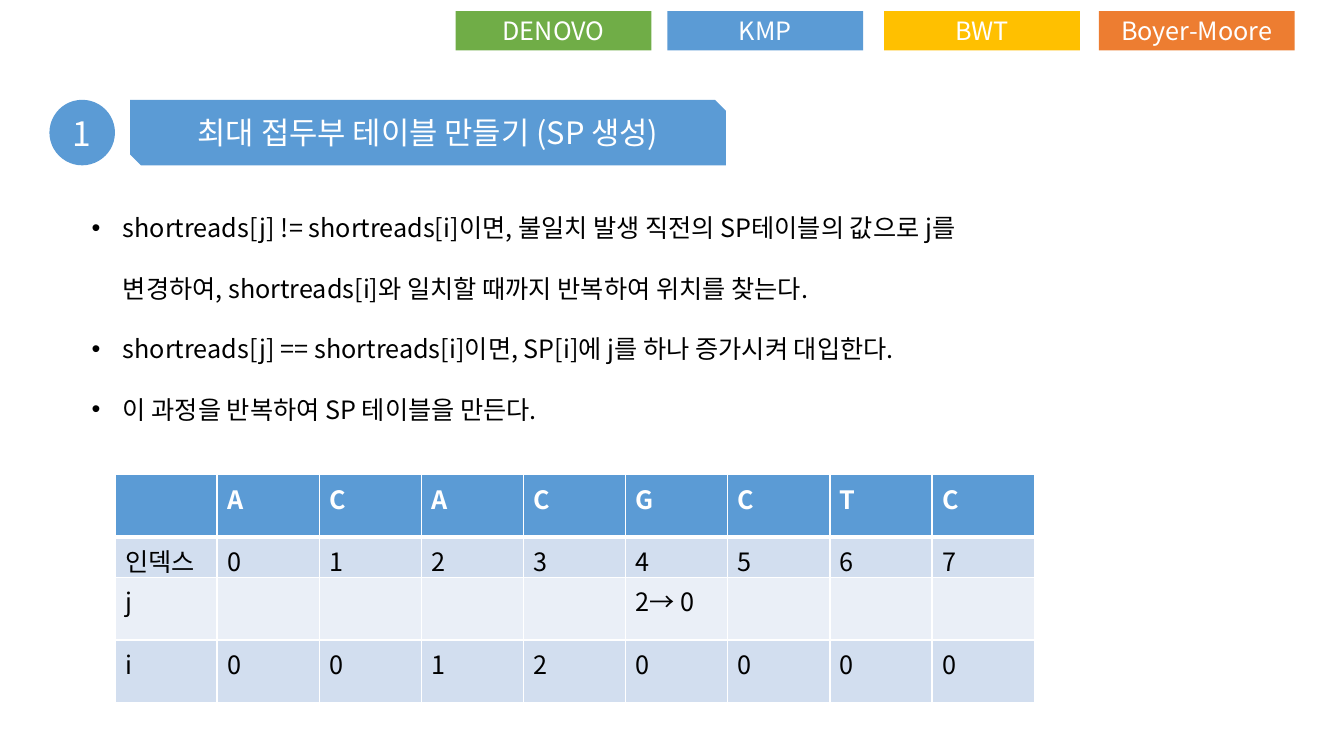
import pptx
import pptx.util
import pptx.dml.color
import pptx.enum.shapes
import pptx.enum.text
from lxml import etree
from pptx.oxml.ns import qn
from pptx.util import Inches, Pt

FONT = "Noto Sans CJK KR"
COLORS = {
    "green": "70AD47", "blue": "5B9BD5", "yellow": "FFC000", "orange": "ED7D31",
    "white": "FFFFFF", "black": "000000", "band": "D2DEEF", "light": "EAEFF7",
}
SHAPES = pptx.enum.shapes.MSO_SHAPE
TABS = [("DENOVO", "green", 4.52), ("KMP", "blue", 6.62),
        ("BWT", "yellow", 8.77), ("Boyer-Moore", "orange", 10.9)]
RULES = [
    "shortreads[j] != shortreads[i]이면, 불일치 발생 직전의 SP테이블의 값으로 j를 변경하여, "
    "shortreads[i]와 일치할 때까지 반복하여 위치를 찾는다.",
    "shortreads[j] == shortreads[i]이면, SP[i]에 j를 하나 증가시켜 대입한다.",
    "이 과정을 반복하여 SP 테이블을 만든다.",
]
SP_ROWS = [
    (0.62, "blue", ["", *"ACACGCTC"]),
    (0.39, "band", ["인덱스", *"01234567"]),
    (0.62, "light", ["j", "", "", "", "", "2→ 0", "", "", ""]),
    (0.62, "band", ["i", *"00120000"]),
]


def rgb(color):
    """Return the named colour as an RGB value."""
    return pptx.dml.color.RGBColor.from_string(COLORS[color])


def write(paragraph, text, color, size=18, bold=False):
    """Add a run of text in the slide's font."""
    run = paragraph.add_run()
    run.text = text
    for attribute, value in {"name": FONT, "size": Pt(size), "bold": bold}.items():
        setattr(run.font, attribute, value)
    run.font.color.rgb = rgb(color)
    etree.SubElement(run._r.get_or_add_rPr(), qn("a:ea"), typeface=FONT)


def add_label(slide, kind, box, fill, text, size):
    """Add a filled shape with centred white text."""
    label = slide.shapes.add_shape(kind, *map(Inches, box))
    label.shadow.inherit = False
    label.fill.solid()
    label.fill.fore_color.rgb = rgb(fill)
    label.line.fill.background()
    label.text_frame.vertical_anchor = pptx.enum.text.MSO_ANCHOR.MIDDLE
    paragraph = label.text_frame.paragraphs[0]
    paragraph.alignment = pptx.enum.text.PP_ALIGN.CENTER
    write(paragraph, text, "white", size)


def add_bullets(slide, box, items):
    """Add a double-spaced bulleted list."""
    frame = slide.shapes.add_textbox(*map(Inches, box)).text_frame
    frame.word_wrap = True
    for number, item in enumerate(items):
        paragraph = frame.add_paragraph() if number else frame.paragraphs[0]
        paragraph.line_spacing = 2.0
        properties = paragraph._p.get_or_add_pPr()
        indent = Inches(0.31)
        properties.set("marL", str(indent))
        properties.set("indent", str(-indent))
        etree.SubElement(properties, qn("a:buFont"), typeface="Arial")
        etree.SubElement(properties, qn("a:buChar"), char="•")
        write(paragraph, item, "black")


def set_borders(cell, widths):
    """Draw white borders of the given point widths around a cell."""
    for side, width in widths.items():
        border = etree.SubElement(cell._tc.get_or_add_tcPr(), qn(f"a:ln{side}"), w=str(Pt(width)))
        fill = etree.SubElement(border, qn("a:solidFill"))
        etree.SubElement(fill, qn("a:srgbClr"), val=COLORS["white"])


def add_sp_table(slide, box, rows):
    """Add the prefix table with a header row and banded body rows."""
    columns = len(rows[0][2])
    table = slide.shapes.add_table(len(rows), columns, *map(Inches, box)).table
    for column in table.columns:
        column.width = Inches(box[2] / columns)
    for row, (height, fill, texts) in enumerate(rows):
        table.rows[row].height = Inches(height)
        header = row == 0
        widths = {"L": 1, "R": 1, "T": 3 if row == 1 else 1, "B": 3 if header else 1}
        for column, text in enumerate(texts):
            cell = table.cell(row, column)
            set_borders(cell, widths)
            cell.fill.solid()
            cell.fill.fore_color.rgb = rgb(fill)
            if text:
                write(cell.text_frame.paragraphs[0], text,
                      "white" if header else "black", bold=header)


def main():
    """Build the slide and save it."""
    deck = pptx.Presentation()
    deck.slide_width, deck.slide_height = Inches(13.33), Inches(7.5)
    slide = deck.slides.add_slide(deck.slide_layouts[6])
    for name, fill, left in TABS:
        add_label(slide, SHAPES.RECTANGLE, (left, 0.11, 1.94, 0.39), fill, name, 18)
    add_label(slide, SHAPES.OVAL, (0.49, 0.99, 0.65, 0.65), "blue", "1", 24)
    add_label(slide, SHAPES.SNIP_2_DIAG_RECTANGLE, (1.29, 0.99, 5.91, 0.65), "blue",
              "최대 접두부 테이블 만들기 (SP 생성)", 22)
    add_bullets(slide, (0.81, 1.76, 9.45, 2.43), RULES)
    add_sp_table(slide, (1.14, 4.71, 9.12, 2.25), SP_ROWS)
    deck.save("out.pptx")


if __name__ == "__main__":
    main()
